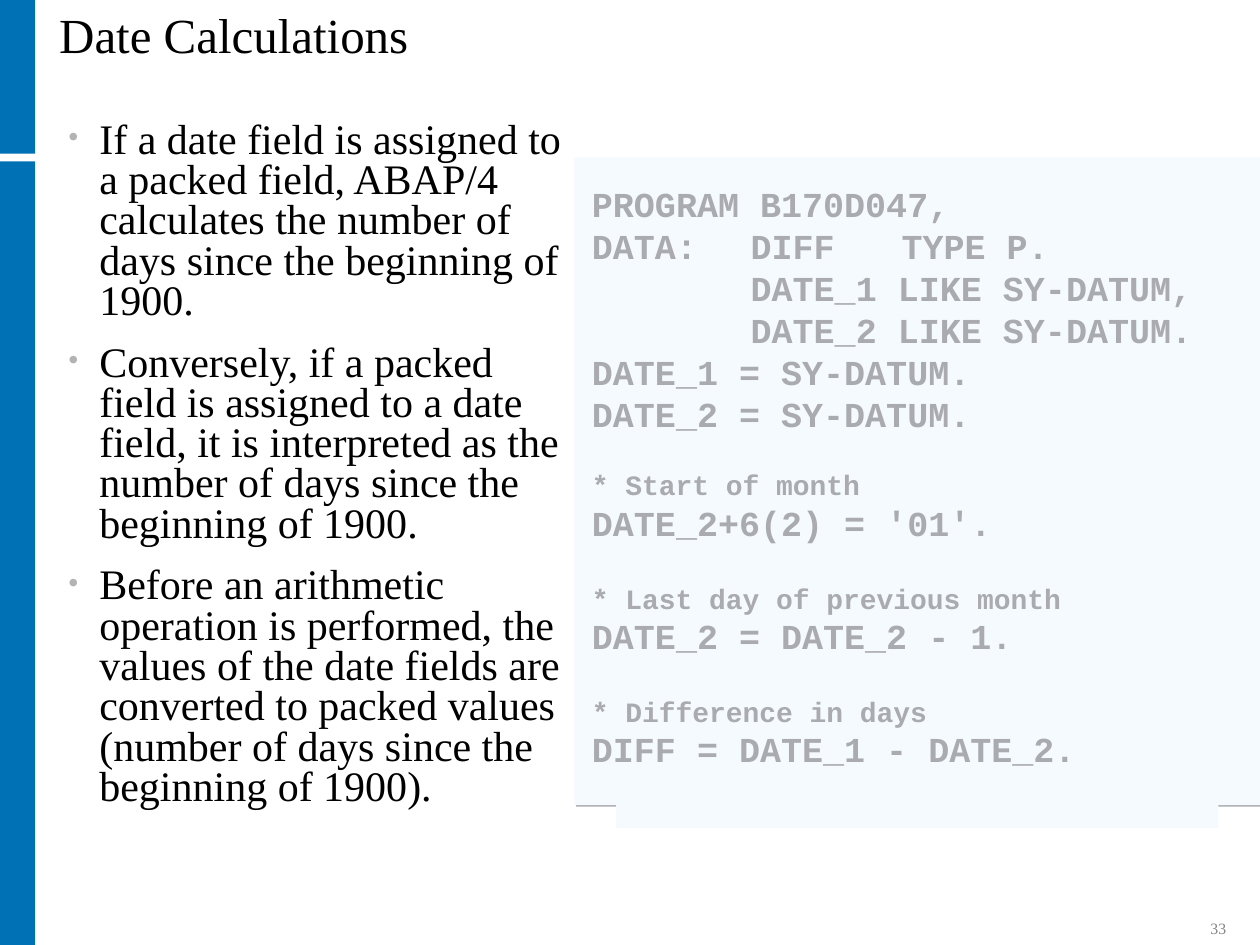
import pptx
import pptx.dml.color
import pptx.enum.shapes
import pptx.enum.text
import pptx.oxml
import pptx.oxml.ns
import pptx.util
from pptx.util import Inches

SERIF, MONO = "Times New Roman", "Courier New"
BLUE, PALE, GRAY, BLACK = "0071B4", "F4FAFF", "AAABB0", "000000"
ANCHOR = pptx.enum.text.MSO_ANCHOR
NAMESPACE = pptx.oxml.ns.nsdecls("a")

BULLETS = [
    "If a date field is assigned to a packed field, ABAP/4 calculates the "
    "number of days since the beginning of 1900.",
    "Conversely, if a packed field is assigned to a date field, it is "
    "interpreted as the number of days since the beginning of 1900.",
    "Before an arithmetic operation is performed, the values of the date "
    "fields are converted to packed values (number of days since the "
    "beginning of 1900).",
]

# Code line and the space before it in points
CODE = [
    ("PROGRAM B170D047,", 0),
    ("DATA:\tDIFF\t TYPE P.", 0),
    ("\tDATE_1 LIKE SY-DATUM,", 0),
    ("\tDATE_2 LIKE SY-DATUM.", 0),
    ("DATE_1 = SY-DATUM.", 0),
    ("DATE_2 = SY-DATUM.", 0),
    ("* Start of month", 19),
    ("DATE_2+6(2) = '01'.", 0),
    ("* Last day of previous month", 21.5),
    ("DATE_2 = DATE_2 - 1.", 0),
    ("* Difference in days", 21.5),
    ("DIFF = DATE_1 - DATE_2.", 0),
]


def color(value):
    return pptx.dml.color.RGBColor.from_string(value)


def add_block(page, left, top, width, height, fill):
    block = page.shapes.add_shape(
        pptx.enum.shapes.MSO_SHAPE.RECTANGLE,
        Inches(left), Inches(top), Inches(width), Inches(height))
    block.shadow.inherit = False
    block.fill.solid()
    block.fill.fore_color.rgb = color(fill)
    block.line.fill.background()
    return block


def add_hard_shadow(block, value):
    effects = block._element.spPr.find(pptx.oxml.ns.qn("a:effectLst"))
    effects.append(pptx.oxml.parse_xml(
        f'<a:outerShdw {NAMESPACE} blurRad="0" dist="17780" dir="2700000" '
        f'algn="ctr" rotWithShape="0"><a:srgbClr val="{value}"/>'
        '</a:outerShdw>'))


def add_box(page, left, top, width, height, anchor=ANCHOR.TOP):
    box = page.shapes.add_textbox(
        Inches(left), Inches(top), Inches(width), Inches(height))
    frame = box.text_frame
    frame.word_wrap = True
    frame.vertical_anchor = anchor
    return frame


def add_para(frame, index):
    return frame.add_paragraph() if index else frame.paragraphs[0]


def add_span(para, text, size, font, value, bold=False):
    span = para.add_run()
    span.text = text
    span.font.size = pptx.util.Pt(size)
    span.font.name = font
    span.font.bold = bold
    span.font.color.rgb = color(value)


def set_bullet(para):
    properties = para._p.get_or_add_pPr()
    properties.set("marL", str(Inches(0.25)))
    properties.set("indent", str(-Inches(0.25)))
    for element in ('buClr {}><a:srgbClr val="B2B3B5"/></a:buClr>',
                    'buSzPct {} val="75000"/>',
                    'buFont {} typeface="Times New Roman"/>',
                    'buChar {} char="•"/>'):
        properties.append(
            pptx.oxml.parse_xml("<a:" + element.format(NAMESPACE)))


def set_tabs(para, stops):
    marks = "".join(
        f'<a:tab pos="{Inches(stop)}" algn="l"/>' for stop in stops)
    para._p.get_or_add_pPr().append(
        pptx.oxml.parse_xml(f"<a:tabLst {NAMESPACE}>{marks}</a:tabLst>"))


def add_title(page, text):
    frame = add_box(page, 0.47, 0.13, 8.34, 0.33, ANCHOR.MIDDLE)
    frame.margin_left = frame.margin_right = 0
    frame.margin_top = frame.margin_bottom = 0
    para = frame.paragraphs[0]
    para.line_spacing = 0.9
    add_span(para, text, 28, SERIF, BLACK)


def add_code(page):
    # Wide enough for the longest line to stay whole
    frame = add_box(page, 4.6, 1.4, 5.3, 4.76)
    for index, (text, gap) in enumerate(CODE):
        para = add_para(frame, index)
        if "\t" in text:
            set_tabs(para, (1.26, 2.29))
        if gap:
            para.space_before = pptx.util.Pt(gap)
        size = 16 if text.startswith("*") else 20
        add_span(para, text, size, MONO, GRAY, bold=True)


def add_bullets(page):
    frame = add_box(page, 0.44, 0.92, 4.15, 6.17)
    for index, text in enumerate(BULLETS):
        para = add_para(frame, index)
        set_bullet(para)
        para.line_spacing = 0.8
        para.space_before = pptx.util.Pt(9 if index else 0)
        para.space_after = pptx.util.Pt(3)
        add_span(para, text, 24, SERIF, BLACK)


def add_page_number(page, text):
    frame = add_box(page, 9, 7.25, 0.83, 0.24, ANCHOR.BOTTOM)
    para = frame.paragraphs[0]
    para.alignment = pptx.enum.text.PP_ALIGN.RIGHT
    add_span(para, text, 9, SERIF, "848589")


def main():
    deck = pptx.Presentation()
    deck.slide_width, deck.slide_height = Inches(10), Inches(7.5)
    page = deck.slides.add_slide(deck.slide_layouts[6])

    # Side bar
    add_block(page, 0, 1.28, 0.28, 6.22, BLUE)
    add_block(page, 0, 0, 0.28, 1.22, BLUE)

    add_title(page, "Date Calculations")

    # Code panel
    panel = add_block(page, 4.56, 1.25, 5.44, 5.14, PALE)
    add_hard_shadow(panel, GRAY)
    add_block(page, 4.89, 3.29, 4.78, 3.28, PALE)
    add_code(page)

    add_bullets(page)
    add_page_number(page, "33")
    deck.save("out.pptx")


if __name__ == "__main__":
    main()
